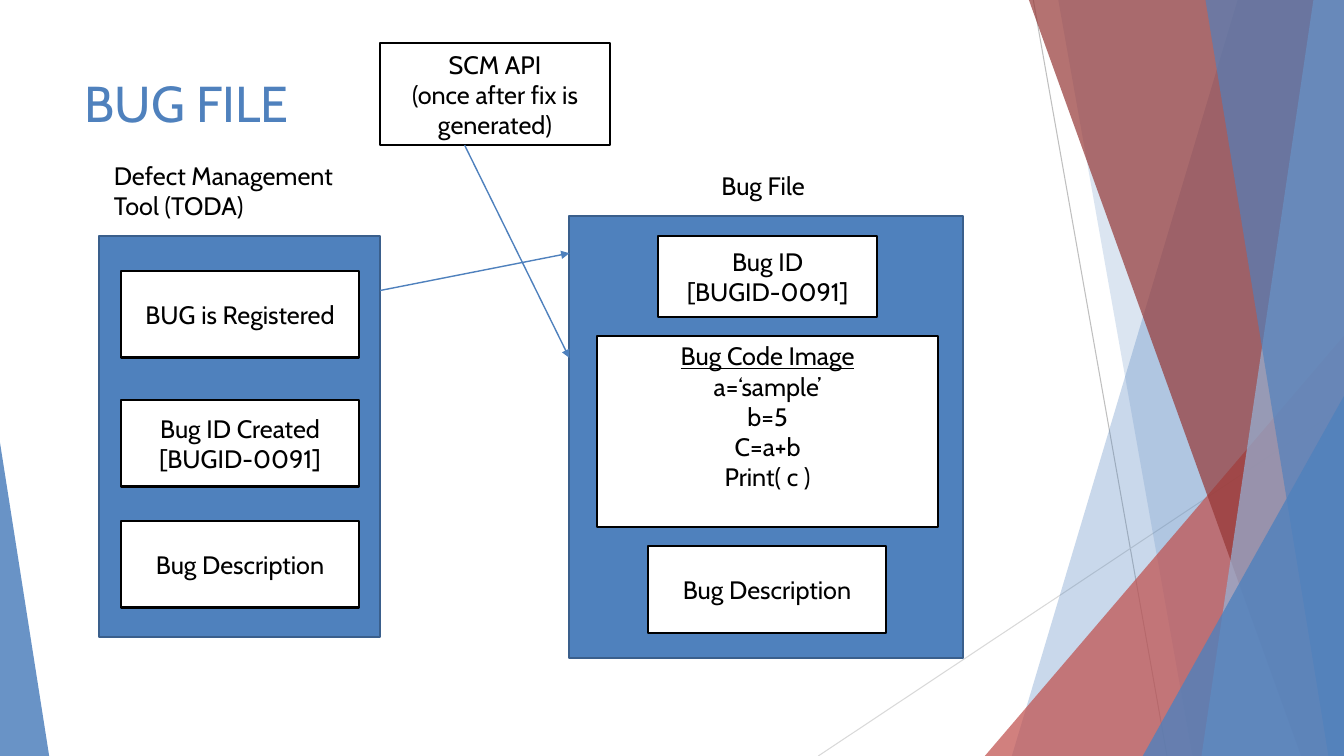
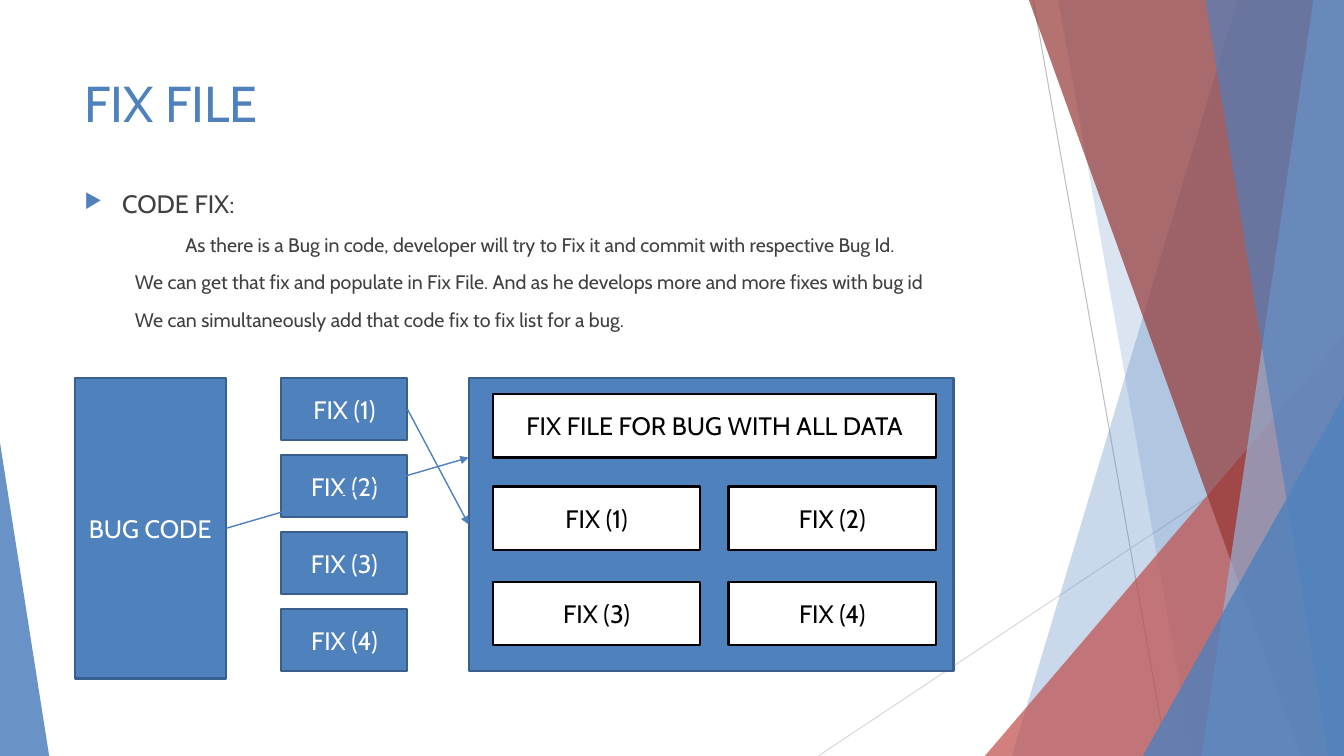
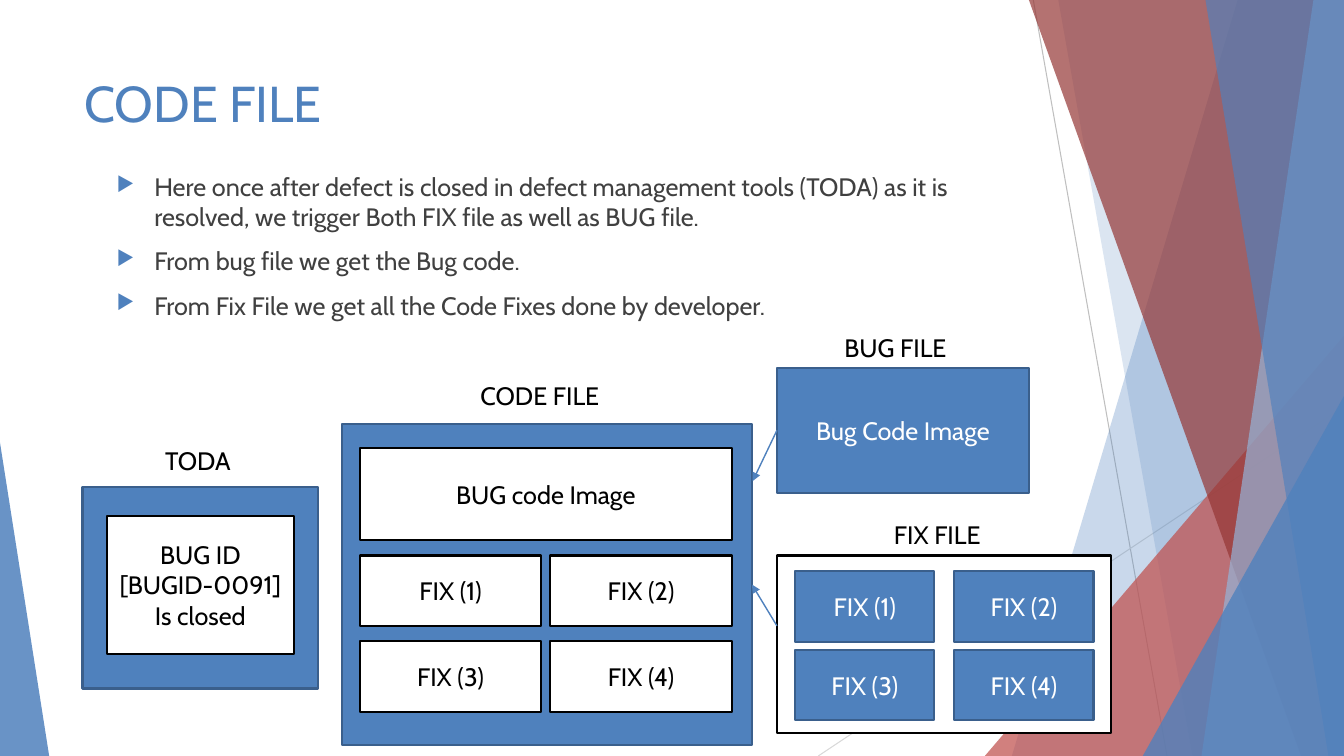
from dataclasses import dataclass

from lxml import etree
from pptx import Presentation
from pptx.dml.color import RGBColor
from pptx.enum.shapes import MSO_CONNECTOR, MSO_SHAPE
from pptx.enum.text import MSO_ANCHOR, PP_ALIGN
from pptx.oxml.ns import qn
from pptx.util import Cm, Pt


@dataclass(frozen=True)
class Theme:
    font: str = "Cabin"
    blue: str = "4F81BD"
    pale_blue: str = "95B3D7"
    edge: str = "3A5F8C"
    dark_edge: str = "376092"
    red: str = "C0504D"
    dark_red: str = "953735"
    grey: str = "BFBFBF"
    light_grey: str = "D9D9D9"
    body: str = "404040"
    black: str = "000000"
    white: str = "FFFFFF"
    title_size: int = 36
    text_size: int = 18
    small_size: int = 14


THEME = Theme()
WIDTH, HEIGHT = 33.87, 19.05
FIXES = ["FIX (1)", "FIX (2)", "FIX (3)", "FIX (4)"]


# Text
def write(frame, text, size=THEME.text_size, color=THEME.black, align=PP_ALIGN.LEFT,
          underline=None, bullet=False, margin=0, indent=0, before=0):
    """Append each line of text to the frame as a paragraph."""
    for line in text.split("\n"):
        first = not frame.text
        paragraph = frame.paragraphs[0] if first else frame.add_paragraph()
        paragraph.alignment = align
        if before and not first:
            paragraph.space_before = Pt(before)
        properties = paragraph._p.get_or_add_pPr()
        if margin:
            properties.set("marL", str(Cm(margin)))
            properties.set("indent", str(Cm(indent)))
        if bullet:
            tint = etree.SubElement(properties, qn("a:buClr"))
            etree.SubElement(tint, qn("a:srgbClr"), val=THEME.blue)
            etree.SubElement(properties, qn("a:buSzPct"), val="80000")
            etree.SubElement(properties, qn("a:buChar"), char="▶")
        run = paragraph.add_run()
        run.text = line
        run.font.name = THEME.font
        run.font.size = Pt(size)
        run.font.color.rgb = RGBColor.from_string(color)
        run.font.underline = underline


def text_area(slide, left, top, width, height):
    frame = slide.shapes.add_textbox(Cm(left), Cm(top), Cm(width), Cm(height)).text_frame
    frame.word_wrap = True
    return frame


def label(slide, text, left, top, width, height=1.02):
    write(text_area(slide, left, top, width, height), text)


def bullets(frame, text):
    write(frame, text, color=THEME.body, bullet=True, margin=0.95, indent=-0.95, before=10)


# Boxes
def box(slide, left, top, width, height, text="", filled=False, outline=None):
    """White box with a black edge, or a filled blue one."""
    shape = slide.shapes.add_shape(MSO_SHAPE.RECTANGLE, Cm(left), Cm(top), Cm(width), Cm(height))
    shape.shadow.inherit = False
    shape.fill.solid()
    shape.fill.fore_color.rgb = RGBColor.from_string(THEME.blue if filled else THEME.white)
    edge = outline or (THEME.edge if filled else THEME.black)
    shape.line.color.rgb = RGBColor.from_string(edge)
    shape.line.width = Pt(1.5)
    shape.text_frame.word_wrap = True
    shape.text_frame.vertical_anchor = MSO_ANCHOR.MIDDLE
    if text:
        write(shape.text_frame, text, align=PP_ALIGN.CENTER,
              color=THEME.white if filled else THEME.black)
    return shape


def fix_grid(slide, left, top, width, height, step_x, step_y, columns=2, filled=False):
    return [box(slide, left + i % columns * step_x, top + i // columns * step_y,
                width, height, fix, filled)
            for i, fix in enumerate(FIXES)]


# Lines
def line(slide, start, end, color=THEME.blue, weight=1):
    connector = slide.shapes.add_connector(
        MSO_CONNECTOR.STRAIGHT, Cm(start[0]), Cm(start[1]), Cm(end[0]), Cm(end[1]))
    connector.line.color.rgb = RGBColor.from_string(color)
    connector.line.width = Pt(weight)
    etree.SubElement(connector._element.spPr, qn("a:effectLst"))
    return connector


def arrow(slide, start, end, source=None, target=None):
    """Arrow between points; source and target are (shape, side) joints."""
    connector = line(slide, start, end)
    etree.SubElement(connector.line._get_or_add_ln(), qn("a:tailEnd"), type="triangle")
    if source:
        connector.begin_connect(*source)
    if target:
        connector.end_connect(*target)


# Shared background
def tint(shape, color, opacity):
    shape.shadow.inherit = False
    shape.line.fill.background()
    shape.fill.solid()
    shape.fill.fore_color.rgb = RGBColor.from_string(color)
    solid = shape.fill._xPr.find(qn("a:solidFill"))
    etree.SubElement(solid[0], qn("a:alpha"), val=str(opacity * 1000))


def band(slide, top_x, bottom_x, color, opacity):
    """Area from a slanted edge to the right side of the slide."""
    builder = slide.shapes.build_freeform(Cm(top_x), Cm(0))
    builder.add_line_segments([(Cm(WIDTH), Cm(0)), (Cm(WIDTH), Cm(HEIGHT)),
                               (Cm(bottom_x), Cm(HEIGHT))])
    tint(builder.convert_to_shape(), color, opacity)


def corner(slide, left, top, width, apex, color, opacity):
    """Triangle standing on the bottom of the slide."""
    shape = slide.shapes.add_shape(MSO_SHAPE.ISOSCELES_TRIANGLE, Cm(left), Cm(top),
                                   Cm(width), Cm(HEIGHT - top))
    shape.adjustments[0] = apex
    tint(shape, color, opacity)


def new_slide(deck, title):
    slide = deck.slides.add_slide(deck.slide_layouts[6])
    line(slide, (26.04, 0), (29.41, HEIGHT), THEME.grey, 0.75)
    line(slide, (WIDTH, 10.24), (20.62, HEIGHT), THEME.light_grey, 0.75)
    band(slide, 31.19, 25.5, THEME.blue, 30)
    band(slide, 26.67, 30.05, THEME.blue, 20)
    corner(slide, 24.82, 8.46, 9.05, 1, THEME.red, 72)
    band(slide, 25.93, 32.79, THEME.dark_red, 70)
    band(slide, 33.1, 30.28, THEME.pale_blue, 70)
    band(slide, 30.38, 33.48, THEME.blue, 65)
    corner(slide, 28.8, 9.98, 5.07, 1, THEME.blue, 80)
    corner(slide, 0, 11.15, 1.24, 0, THEME.blue, 85)
    write(text_area(slide, 1.88, 1.7, 23.88, 3.66), title,
          size=THEME.title_size, color=THEME.blue)
    return slide


# Slides
def bug_file(deck):
    slide = new_slide(deck, "BUG FILE")

    # Defect tool
    box(slide, 2.49, 5.94, 7.09, 10.11, filled=True)
    label(slide, "Defect Management Tool (TODA)", 2.62, 3.91, 6.96, 1.8)
    steps = {6.83: "BUG is Registered", 10.08: "Bug ID Created\n[BUGID-0091]",
             13.13: "Bug Description"}
    for top, step in steps.items():
        box(slide, 3.05, top, 6, 2.18, step)

    # Bug file
    box(slide, 14.35, 5.44, 9.93, 11.15, filled=True)
    label(slide, "Bug File", 17.93, 4.17, 3)
    box(slide, 16.59, 5.94, 5.51, 2.06, "Bug ID\n[BUGID-0091]")
    code = box(slide, 15.04, 8.46, 8.61, 4.83).text_frame
    code.vertical_anchor = MSO_ANCHOR.TOP
    write(code, "Bug Code Image", align=PP_ALIGN.CENTER, underline=True)
    write(code, "a=‘sample’\nb=5\nC=a+b\nPrint( c )", align=PP_ALIGN.CENTER)
    box(slide, 16.33, 13.77, 6, 2.18, "Bug Description")

    # Inputs of the bug file
    arrow(slide, (9.58, 7.32), (14.35, 6.38))
    box(slide, 9.58, 1.09, 5.79, 2.57, "SCM API\n(once after fix is generated)")
    arrow(slide, (11.71, 3.66), (14.35, 9.02))


def fix_file(deck):
    slide = new_slide(deck, "FIX FILE")

    # Explanation
    body = text_area(slide, 1.88, 4.62, 23.88, 4.22)
    bullets(body, "CODE FIX:")
    detail = dict(size=THEME.small_size, color=THEME.body, margin=1.27, before=10)
    write(body, "As there is a Bug in code, developer will try to Fix it and commit "
                "with respective Bug Id.", indent=1.27, **detail)
    write(body, "We can get that fix and populate in Fix File. And as he develops more "
                "and more fixes with bug id\n"
                "We can simultaneously add that code fix to fix list for a bug.", **detail)

    # Bug code and its fixes
    bug_code = box(slide, 1.88, 9.53, 3.81, 7.57, "BUG CODE", True, THEME.dark_edge)
    fixes = fix_grid(slide, 7.09, 9.53, 3.18, 1.57, 0, 1.94, columns=1, filled=True)

    # Fix file
    all_data = box(slide, 11.81, 9.53, 12.22, 7.37, filled=True)
    box(slide, 12.42, 9.93, 11.18, 1.6, "FIX FILE FOR BUG WITH ALL DATA")
    fix_grid(slide, 12.42, 12.26, 5.23, 1.6, 5.94, 2.4)
    arrow(slide, (10.27, 10.31), (11.81, 13.21), (fixes[0], 3), (all_data, 1))
    arrow(slide, (5.69, 13.31), (11.81, 11.53), (bug_code, 3))


def code_file(deck):
    slide = new_slide(deck, "CODE FILE")
    bullets(text_area(slide, 2.69, 4.19, 21.46, 4.55),
            "Here once after defect is closed in defect management tools (TODA) as it is "
            "resolved, we trigger Both FIX file as well as BUG file.\n"
            "From bug file we get the Bug code.\n"
            "From Fix File we get all the Code Fixes done by developer.")

    # Closed defect
    box(slide, 2.08, 12.27, 5.94, 5.08, filled=True)
    box(slide, 2.69, 13, 4.72, 3.48, "BUG ID\n[BUGID-0091]\nIs closed")
    label(slide, "TODA", 3.91, 11.1, 2.5)

    # Code file
    code = box(slide, 8.61, 10.69, 10.34, 8.08, filled=True)
    label(slide, "CODE FILE", 11.86, 9.45, 6.35)
    box(slide, 9.07, 11.28, 9.37, 2.34, "BUG code Image")
    fix_grid(slide, 9.07, 14, 4.57, 1.78, 4.8, 2.16)

    # Bug file and fix file
    label(slide, "BUG FILE", 21.03, 8.26, 5)
    bug = box(slide, 19.58, 9.27, 6.35, 3.15, "Bug Code Image", True)
    label(slide, "FIX FILE", 22.28, 12.95, 3.56)
    box(slide, 19.58, 14, 8.41, 4.47)
    fix_grid(slide, 20.04, 14.4, 3.51, 1.78, 4.01, 1.97, filled=True)
    arrow(slide, (19.58, 10.85), (18.97, 12.12), source=(bug, 1))
    arrow(slide, (19.58, 15.77), (18.95, 14.73), target=(code, 3))


def main():
    deck = Presentation()
    deck.slide_width, deck.slide_height = Cm(WIDTH), Cm(HEIGHT)
    bug_file(deck)
    fix_file(deck)
    code_file(deck)
    deck.save("out.pptx")


if __name__ == "__main__":
    main()
